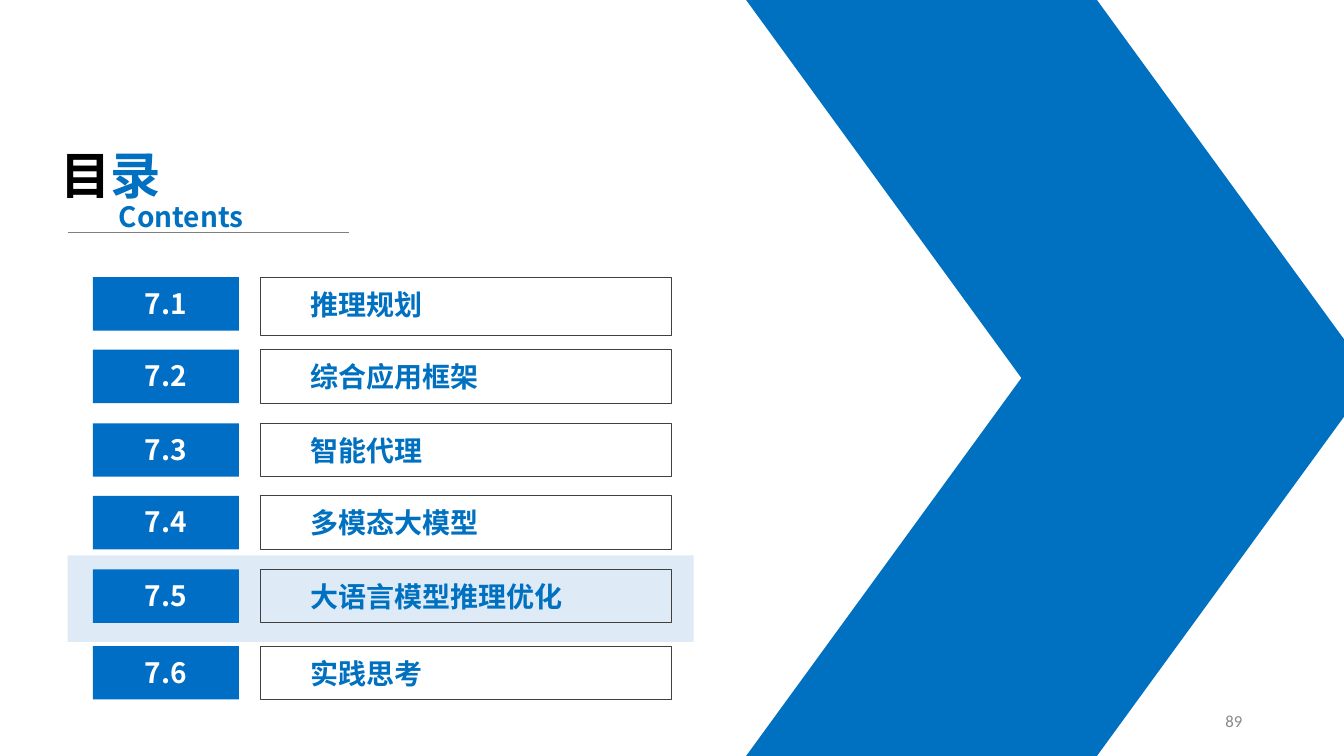
"""Build the contents slide of chapter seven."""
from lxml import etree
from pptx import Presentation
from pptx.dml.color import RGBColor
from pptx.enum.shapes import MSO_CONNECTOR, MSO_SHAPE
from pptx.enum.text import MSO_ANCHOR, MSO_AUTO_SIZE, PP_ALIGN
from pptx.oxml.ns import qn
from pptx.util import Inches, Pt

RECT, SLANT = MSO_SHAPE.RECTANGLE, MSO_SHAPE.PARALLELOGRAM
LEFT, CENTER, RIGHT = PP_ALIGN.LEFT, PP_ALIGN.CENTER, PP_ALIGN.RIGHT
TOP, MIDDLE = MSO_ANCHOR.TOP, MSO_ANCHOR.MIDDLE

TITLE = [("目", "black"), ("录", "blue")]
LABEL = "Contents"
PAGE = "89"
ROWS = [
    ("7.1", "推理规划", 2.75, 0.58),
    ("7.2", "综合应用框架", 3.47, 0.53),
    ("7.3", "智能代理", 4.2, 0.53),
    ("7.4", "多模态大模型", 4.92, 0.53),
    ("7.5", "大语言模型推理优化", 5.65, 0.53),
    ("7.6", "实践思考", 6.41, 0.53),
]
CURRENT = "7.5"

THEME = {
    "black": "000000", "white": "FFFFFF", "blue": "0070C0", "tile": "006EC5",
    "band": "DEEBF7", "frame": "404040", "rule": "7F7F7F", "gray": "898989",
    "title": {"name": "Noto Sans CJK SC", "size": Pt(36), "bold": True},
    "item": {"name": "Noto Sans CJK SC", "size": Pt(20), "bold": True},
    "page": {"name": "Calibri", "size": Pt(12), "bold": False},
}


def color(key):
    return RGBColor.from_string(THEME[key])


def write(shape, runs, style, align=LEFT, anchor=TOP):
    frame = shape.text_frame
    layout = {"word_wrap": True, "auto_size": MSO_AUTO_SIZE.NONE,
              "vertical_anchor": anchor}
    for key, value in layout.items():
        setattr(frame, key, value)
    line = frame.paragraphs[0]
    line.alignment = align
    for text, tint in runs:
        run = line.add_run()
        run.text = text
        for key, value in THEME[style].items():
            setattr(run.font, key, value)
        run.font.color.rgb = color(tint)
        face = etree.SubElement(run._r.get_or_add_rPr(), qn("a:ea"))
        face.set("typeface", THEME[style]["name"])


def text(slide, box, runs, style="item", align=LEFT, anchor=TOP):
    shape = slide.shapes.add_textbox(*map(Inches, box))
    write(shape, runs, style, align, anchor)


def block(slide, box, fill=None, line=None, kind=RECT):
    shape = slide.shapes.add_shape(kind, *map(Inches, box))
    shape.shadow.inherit = False
    if fill:
        shape.fill.solid()
        shape.fill.fore_color.rgb = color(fill)
    else:
        shape.fill.background()
    if line:
        shape.line.color.rgb = color(line)
        shape.line.width = Pt(0.75)
    else:
        shape.line.fill.background()
    return shape


def arrow(slide):
    half = 3.75
    for top in (half, 0):
        wing = block(slide, (7.4, top, 6.21, half), "blue", kind=SLANT)
        wing.adjustments[0] = 0.728
        if top == 0:
            wing._element.spPr.find(qn("a:xfrm")).set("flipV", "1")


def heading(slide):
    title = slide.shapes.title
    place = {"left": 0.5, "top": 1.38, "width": 1.57, "height": 0.71}
    for key, value in place.items():
        setattr(title, key, Inches(value))
    write(title, TITLE, "title")
    ends = map(Inches, (0.67, 2.31, 3.46, 2.31))
    rule = slide.shapes.add_connector(MSO_CONNECTOR.STRAIGHT, *ends)
    rule.line.color.rgb = color("rule")
    rule.line.width = Pt(0.5)
    etree.SubElement(rule._element.spPr, qn("a:effectLst"))
    text(slide, (1.08, 1.93, 1.57, 0.44), [(LABEL, "blue")])


def row(slide, number, name, top, height):
    if number == CURRENT:
        block(slide, (0.67, top - 0.14, 6.21, 0.86), "band")
    block(slide, (2.58, top, 4.08, height), line="frame")
    text(slide, (2.98, top + 0.05, 3.68, 0.44), [(name, "blue")])
    block(slide, (0.92, top, 1.45, 0.53), "tile")
    text(slide, (1.12, top + 0.04, 1.05, 0.44), [(number, "white")],
         align=CENTER)


def main():
    deck = Presentation()
    deck.slide_width, deck.slide_height = Inches(13.33), Inches(7.5)
    slide = deck.slides.add_slide(deck.slide_layouts[5])
    arrow(slide)
    heading(slide)
    for entry in ROWS:
        row(slide, *entry)
    text(slide, (9.42, 6.95, 3, 0.4), [(PAGE, "gray")], "page", RIGHT, MIDDLE)
    deck.save("out.pptx")


if __name__ == "__main__":
    main()
